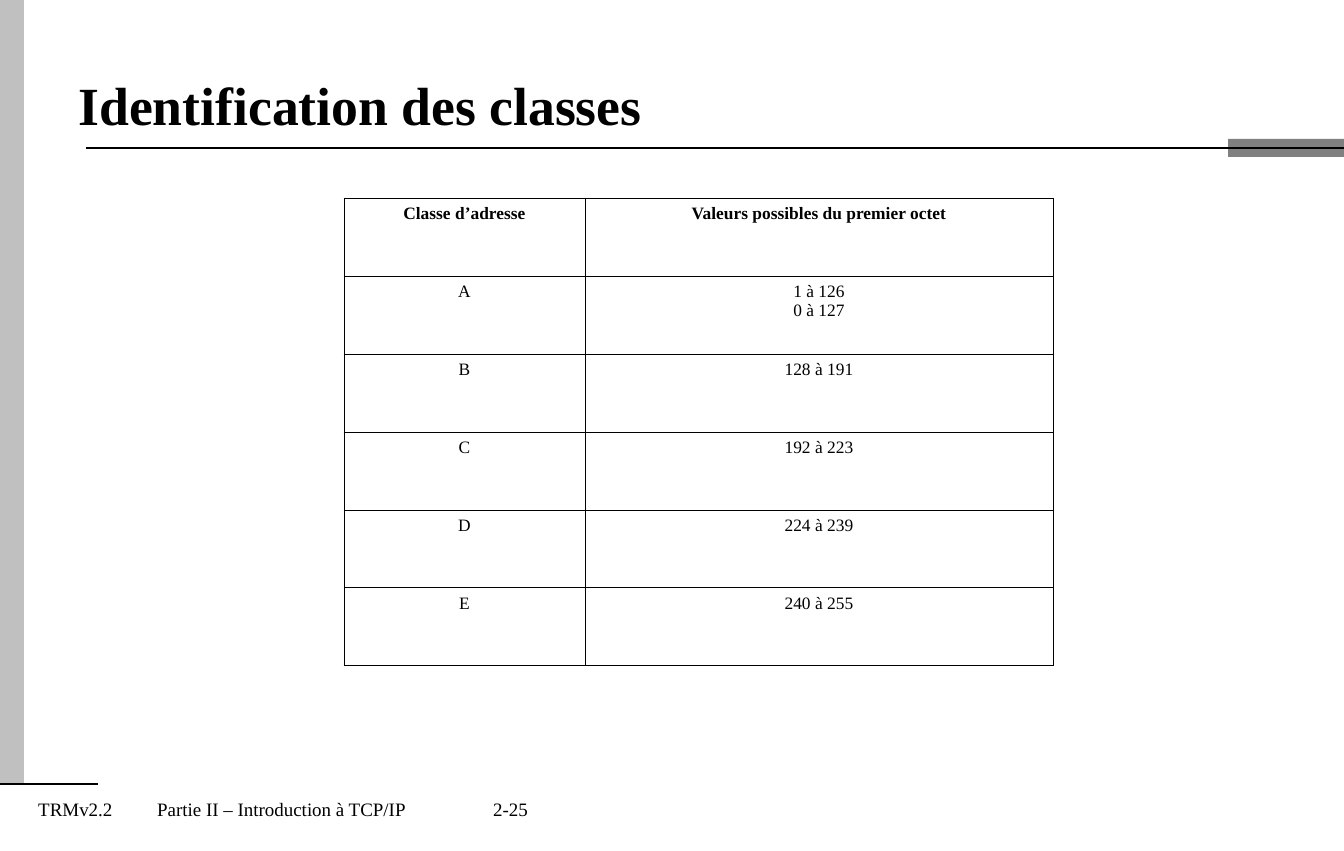
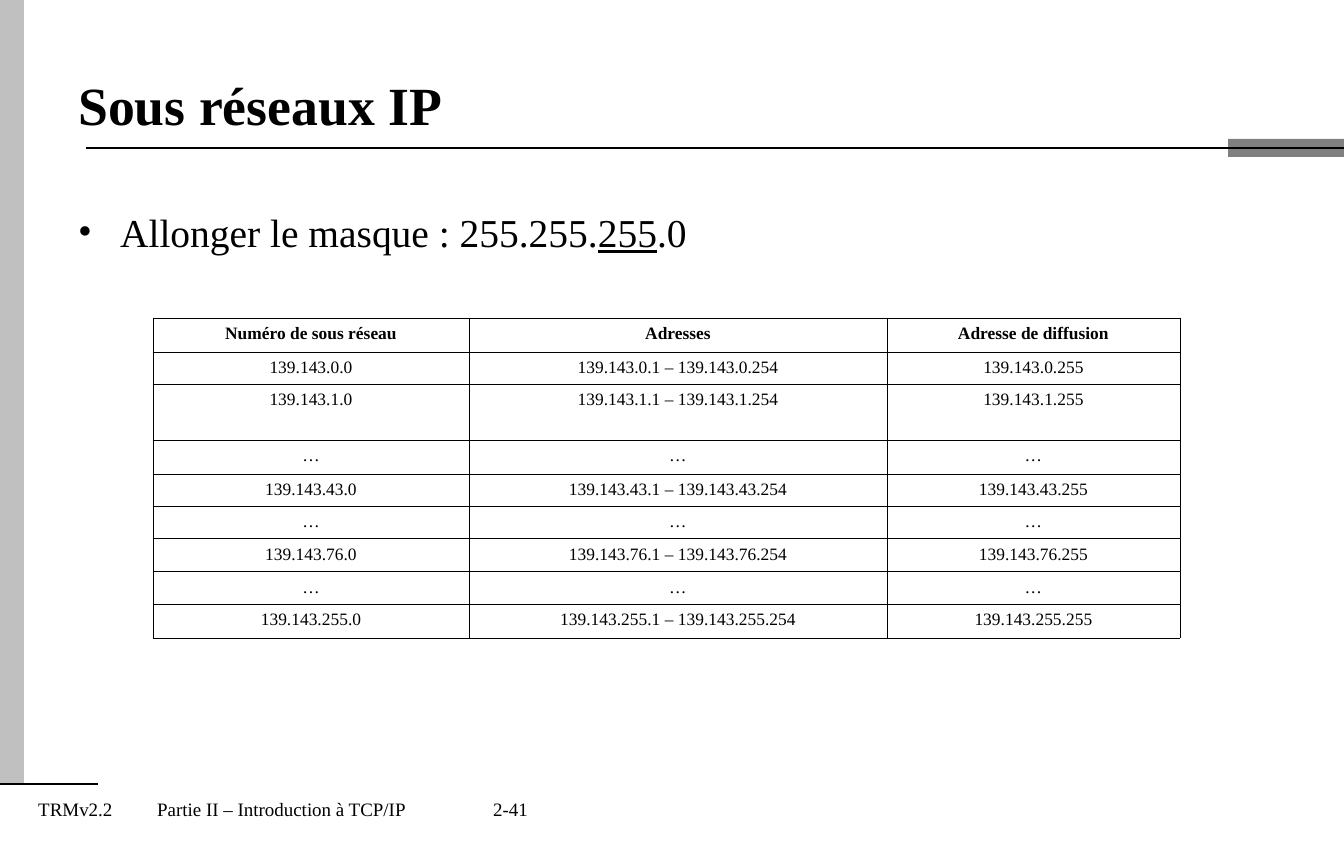
from dataclasses import dataclass

from lxml.etree import SubElement
from pptx import Presentation
from pptx.dml.color import RGBColor
from pptx.enum.shapes import MSO_CONNECTOR, MSO_SHAPE
from pptx.enum.text import MSO_ANCHOR, MSO_AUTO_SIZE, PP_ALIGN
from pptx.oxml import parse_xml
from pptx.oxml.ns import nsdecls, qn
from pptx.presentation import Presentation as PresentationType
from pptx.shapes.autoshape import Shape
from pptx.slide import Slide
from pptx.table import _Cell
from pptx.text.text import _Paragraph
from pptx.util import Emu, Pt

EMU_PER_PX = 8035
SLIDE_WIDTH, SLIDE_HEIGHT = 1344, 851
FONT_NAME = "Times New Roman"
BLACK = RGBColor(0x00, 0x00, 0x00)
LIGHT_GREY = RGBColor(0xC0, 0xC0, 0xC0)
MID_GREY = RGBColor(0x80, 0x80, 0x80)
RULE_WIDTH = Pt(1.5)
BORDER_WIDTH = Pt(0.45)
FOOTER_TABS = (119, 455)
BULLET_INDENT = 42


@dataclass(frozen=True)
class Box:
    left: int
    top: int
    width: int
    height: int

    def emu(self) -> tuple[Emu, Emu, Emu, Emu]:
        return px(self.left), px(self.top), px(self.width), px(self.height)


@dataclass(frozen=True)
class Band:
    box: Box
    color: RGBColor


@dataclass(frozen=True)
class Rule:
    left: int
    right: int
    y: int


@dataclass(frozen=True)
class Grid:
    left: int
    top: int
    column_widths: tuple[int, ...]
    row_heights: tuple[int, ...]
    rows: tuple[tuple[str, ...], ...]


@dataclass(frozen=True)
class TextPart:
    text: str
    underline: bool = False


@dataclass(frozen=True)
class Page:
    title: str
    number: str
    grid: Grid
    bullet: tuple[TextPart, ...] = ()


TITLE_BOX = Box(67, 34, 1210, 141)
FOOTER_BOX = Box(27, 792, 1279, 34)
BULLET_BOX = Box(67, 202, 1177, 93)
BANDS = (
    Band(Box(0, 0, 24, 784), LIGHT_GREY),
    Band(Box(1228, 139, 116, 18), MID_GREY),
)
RULES = (Rule(86, SLIDE_WIDTH, 148), Rule(0, 98, 784))


def subnet_row(subnet: int) -> tuple[str, str, str]:
    prefix = f"139.143.{subnet}"
    return f"{prefix}.0", f"{prefix}.1 – {prefix}.254", f"{prefix}.255"


ELLIPSIS_ROW = ("…",) * 3
PAGES = (
    Page(
        "Identification des classes",
        "2-25",
        Grid(
            344,
            198,
            (241, 468),
            (78,) * 6,
            (
                ("Classe d’adresse", "Valeurs possibles du premier octet"),
                ("A", "1 à 126\n0 à 127"),
                ("B", "128 à 191"),
                ("C", "192 à 223"),
                ("D", "224 à 239"),
                ("E", "240 à 255"),
            ),
        ),
    ),
    Page(
        "Sous réseaux IP",
        "2-41",
        Grid(
            153,
            318,
            (316, 418, 293),
            (34, 32, 56, 34, 32, 32, 33, 32, 34),
            (
                ("Numéro de sous réseau", "Adresses", "Adresse de diffusion"),
                subnet_row(0),
                subnet_row(1),
                ELLIPSIS_ROW,
                subnet_row(43),
                ELLIPSIS_ROW,
                subnet_row(76),
                ELLIPSIS_ROW,
                subnet_row(255),
            ),
        ),
        (
            TextPart("Allonger le masque : 255.255."),
            TextPart("255", underline=True),
            TextPart(".0"),
        ),
    ),
)


def px(length: int) -> Emu:
    return Emu(length * EMU_PER_PX)


def set_font(paragraph: _Paragraph, size: int, bold: bool = False) -> None:
    font = paragraph.font
    font.name = FONT_NAME
    font.size = Pt(size)
    font.bold = bold
    font.color.rgb = BLACK


def add_band(slide: Slide, band: Band) -> None:
    shape = slide.shapes.add_shape(MSO_SHAPE.RECTANGLE, *band.box.emu())
    shape.shadow.inherit = False
    shape.fill.solid()
    shape.fill.fore_color.rgb = band.color
    shape.line.fill.background()


def add_rule(slide: Slide, rule: Rule) -> None:
    connector = slide.shapes.add_connector(
        MSO_CONNECTOR.STRAIGHT, px(rule.left), px(rule.y), px(rule.right), px(rule.y)
    )
    connector.line.color.rgb = BLACK
    connector.line.width = RULE_WIDTH
    SubElement(connector._element.spPr, qn("a:effectLst"))


def add_text_box(slide: Slide, box: Box) -> Shape:
    text_box = slide.shapes.add_textbox(*box.emu())
    text_box.text_frame.word_wrap = True
    return text_box


def add_footer(slide: Slide, number: str) -> None:
    paragraph = add_text_box(slide, FOOTER_BOX).text_frame.paragraphs[0]
    paragraph.text = f"TRMv2.2\tPartie II – Introduction à TCP/IP\t{number}"
    tab_list = SubElement(paragraph._p.get_or_add_pPr(), qn("a:tabLst"))
    for position in FOOTER_TABS:
        SubElement(tab_list, qn("a:tab"), pos=str(px(position)), algn="l")
    set_font(paragraph, 12)


def set_title(slide: Slide, text: str) -> None:
    title = slide.shapes.title
    title.left, title.top, title.width, title.height = TITLE_BOX.emu()
    text_frame = title.text_frame
    text_frame.text = text
    text_frame.word_wrap = True
    text_frame.auto_size = MSO_AUTO_SIZE.NONE
    text_frame.vertical_anchor = MSO_ANCHOR.MIDDLE
    paragraph = text_frame.paragraphs[0]
    paragraph.alignment = PP_ALIGN.LEFT
    set_font(paragraph, 34, bold=True)


def add_bullet(slide: Slide, parts: tuple[TextPart, ...]) -> None:
    paragraph = add_text_box(slide, BULLET_BOX).text_frame.paragraphs[0]
    properties = paragraph._p.get_or_add_pPr()
    properties.set("marL", str(px(BULLET_INDENT)))
    properties.set("indent", str(px(-BULLET_INDENT)))
    SubElement(properties, qn("a:buFont"), typeface=FONT_NAME)
    SubElement(properties, qn("a:buChar"), char="•")
    set_font(paragraph, 25)
    for part in parts:
        run = paragraph.add_run()
        run.text = part.text
        if part.underline:
            run.font.underline = True


def set_borders(cell: _Cell) -> None:
    properties = cell._tc.get_or_add_tcPr()
    for index, side in enumerate(("lnL", "lnR", "lnT", "lnB")):
        border = parse_xml(
            f'<a:{side} {nsdecls("a")} w="{BORDER_WIDTH}"><a:solidFill>'
            f'<a:srgbClr val="{BLACK}"/></a:solidFill></a:{side}>'
        )
        properties.insert(index, border)


def add_grid(slide: Slide, grid: Grid) -> None:
    box = Box(grid.left, grid.top, sum(grid.column_widths), sum(grid.row_heights))
    table = slide.shapes.add_table(
        len(grid.rows), len(grid.column_widths), *box.emu()
    ).table
    table.first_row = False
    table.horz_banding = False
    for column, width in zip(table.columns, grid.column_widths):
        column.width = px(width)
    for row_index, (row, height) in enumerate(zip(table.rows, grid.row_heights)):
        row.height = px(height)
        for cell, text in zip(row.cells, grid.rows[row_index]):
            cell.text = text
            cell.fill.background()
            set_borders(cell)
            for paragraph in cell.text_frame.paragraphs:
                paragraph.alignment = PP_ALIGN.CENTER
                set_font(paragraph, 11, bold=row_index == 0)


def add_page(presentation: PresentationType, page: Page) -> None:
    slide = presentation.slides.add_slide(presentation.slide_layouts[5])
    add_footer(slide, page.number)
    for band in BANDS:
        add_band(slide, band)
    for rule in RULES:
        add_rule(slide, rule)
    set_title(slide, page.title)
    if page.bullet:
        add_bullet(slide, page.bullet)
    add_grid(slide, page.grid)


def main() -> None:
    presentation = Presentation()
    presentation.slide_width = px(SLIDE_WIDTH)
    presentation.slide_height = px(SLIDE_HEIGHT)
    for page in PAGES:
        add_page(presentation, page)
    presentation.save("out.pptx")


if __name__ == "__main__":
    main()
